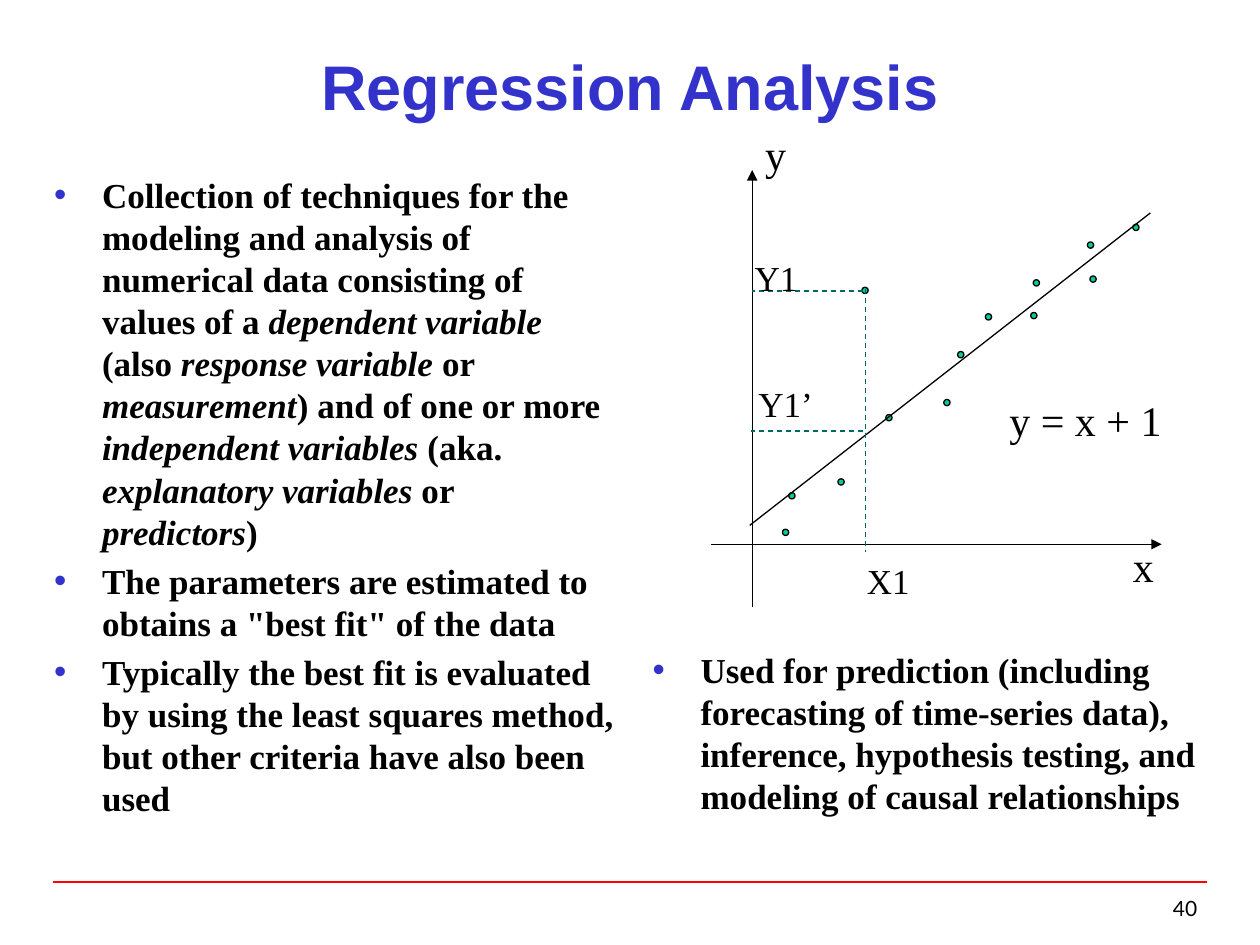
from dataclasses import dataclass

from lxml import etree
from pptx import Presentation
from pptx import util as u
from pptx.dml.color import RGBColor
from pptx.enum import dml, shapes, text
from pptx.oxml.ns import qn


@dataclass(frozen=True)
class Theme:
    accent: str = "3333CC"
    ink: str = "000000"
    rule: str = "FF0000"
    guide: str = "006666"
    point: str = "00CC99"
    heading_font: str = "Arial"
    body_font: str = "Times New Roman"
    number_font: str = "Lato"
    title_size: int = 36
    axis_size: int = 24
    body_size: int = 20
    number_size: int = 12


THEME = Theme()

TECHNIQUES = [
    [("Collection of techniques for the modeling and analysis of numerical "
      "data consisting of values of a ", False),
     ("dependent variable ", True), ("(also ", False),
     ("response variable ", True), ("or ", False),
     ("measurement", True), (") and of one or more ", False),
     ("independent variables ", True), ("(aka. ", False),
     ("explanatory variables", True), (" or ", False),
     ("predictors", True), (")", False)],
    [('The parameters are estimated to obtains a "best fit" of the data', False)],
    [("Typically the best fit is evaluated by using the least squares method, "
      "but other criteria have also been used", False)],
]
USES = [
    [("Used for prediction (including forecasting of time-series data), "
      "inference, hypothesis testing, and modeling of causal relationships", False)],
]

POINT_SIZE = 0.05
POINTS = [
    (7.49, 3.17), (7.03, 3.29), (6.84, 2.28), (6.65, 3.8), (7.6, 2.79),
    (7.82, 2.49), (6.26, 3.91), (8.18, 2.48), (8.2, 2.22), (8.65, 2.19),
    (6.21, 4.2), (8.63, 1.92), (8.99, 1.78),
]
AXES = [((5.64, 4.32), (9.22, 4.32)), ((5.97, 4.82), (5.97, 1.35))]
FIT_LINE = ((5.95, 4.17), (9.13, 1.69))
GUIDES = [
    ((6.87, 2.29), (6.87, 4.38)),
    ((6.85, 2.31), (5.97, 2.31)),
    ((6.85, 3.42), (5.96, 3.42)),
]
LABELS = [
    ("y", (5.97, 0.97, 0.37, 0.5), THEME.axis_size),
    ("x", (8.89, 4.24, 0.37, 0.5), THEME.axis_size),
    ("y = x + 1", (7.91, 3.08, 1.41, 0.5), THEME.axis_size),
    ("X1", (6.78, 4.39, 0.54, 0.43), THEME.body_size),
    ("Y1", (5.89, 1.99, 0.54, 0.43), THEME.body_size),
    ("Y1’", (5.92, 2.99, 0.63, 0.43), THEME.body_size),
]


def rgb(color):
    return RGBColor.from_string(color)


def place(shape, box):
    shape.left, shape.top, shape.width, shape.height = map(u.Inches, box)


def add_run(paragraph, words, font, size, color=THEME.ink, bold=False, italic=False):
    run = paragraph.add_run()
    run.text = words
    run.font.name = font
    run.font.size = u.Pt(size)
    run.font.color.rgb = rgb(color)
    run.font.bold = bold
    run.font.italic = italic


def set_bullet(paragraph):
    props = paragraph._p.get_or_add_pPr()
    props.set("marL", str(u.Inches(0.38)))
    props.set("indent", str(u.Inches(-0.38)))
    color = etree.SubElement(props, qn("a:buClr"))
    etree.SubElement(color, qn("a:srgbClr"), val=THEME.accent)
    etree.SubElement(props, qn("a:buFont"), typeface=THEME.heading_font)
    etree.SubElement(props, qn("a:buChar"), char="•")


def fill_title(title, words):
    place(title, (0.5, 0.35, 9, 0.66))
    frame = title.text_frame
    frame.auto_size = text.MSO_AUTO_SIZE.NONE
    frame.vertical_anchor = text.MSO_ANCHOR.MIDDLE
    heading = frame.paragraphs[0]
    heading.alignment = text.PP_ALIGN.CENTER
    add_run(heading, words, THEME.heading_font, THEME.title_size, THEME.accent, bold=True)


def fill_bullets(body, box, items):
    place(body, box)
    frame = body.text_frame
    frame.auto_size = text.MSO_AUTO_SIZE.NONE
    frame.vertical_anchor = text.MSO_ANCHOR.TOP
    for index, item in enumerate(items):
        bullet = frame.add_paragraph() if index else frame.paragraphs[0]
        bullet.space_before = u.Pt(0.2 * THEME.body_size)
        bullet.line_spacing = 1.0
        set_bullet(bullet)
        for words, italic in item:
            add_run(bullet, words, THEME.body_font, THEME.body_size,
                    bold=True, italic=italic)


def add_line(slide, ends, color=THEME.ink, width=0.75, dashed=False, arrow=False):
    (x1, y1), (x2, y2) = ends
    connector = slide.shapes.add_connector(
        shapes.MSO_CONNECTOR.STRAIGHT, *map(u.Inches, (x1, y1, x2, y2)))
    connector.line.color.rgb = rgb(color)
    connector.line.width = u.Pt(width)
    if dashed:
        connector.line.dash_style = dml.MSO_LINE.DASH
    if arrow:
        etree.SubElement(connector.line._get_or_add_ln(), qn("a:tailEnd"), type="triangle")
    etree.SubElement(connector._element.spPr, qn("a:effectLst"))


def add_point(slide, left, top):
    point = slide.shapes.add_shape(
        shapes.MSO_SHAPE.OVAL, *map(u.Inches, (left, top, POINT_SIZE, POINT_SIZE)))
    point.shadow.inherit = False
    point.fill.solid()
    point.fill.fore_color.rgb = rgb(THEME.point)
    point.line.color.rgb = rgb(THEME.ink)
    point.line.width = u.Pt(0.75)


def add_label(slide, words, box, size, font=THEME.body_font,
              align=text.PP_ALIGN.CENTER, wrap=False):
    frame = slide.shapes.add_textbox(*map(u.Inches, box)).text_frame
    frame.word_wrap = wrap
    label = frame.paragraphs[0]
    label.alignment = align
    add_run(label, words, font, size)


def draw_regression(slide):
    for axis in AXES:
        add_line(slide, axis, arrow=True)
    for left, top in POINTS:
        add_point(slide, left, top)
    add_line(slide, FIT_LINE)
    for guide in GUIDES:
        add_line(slide, guide, THEME.guide, dashed=True)
    for words, box, size in LABELS:
        add_label(slide, words, box, size)


def main():
    deck = Presentation()
    deck.slide_width, deck.slide_height = u.Inches(10), u.Inches(7.5)
    slide = deck.slides.add_slide(deck.slide_layouts.get_by_name("Two Content"))
    title, techniques, uses = slide.placeholders

    add_line(slide, ((0.42, 7), (9.58, 7)), THEME.rule, width=1)
    fill_title(title, "Regression Analysis")
    fill_bullets(techniques, (0.33, 1.33, 4.66, 5.42), TECHNIQUES)
    fill_bullets(uses, (5.08, 5.1, 4.6, 1.62), USES)
    add_label(slide, "40", (7.52, 7.06, 2.08, 0.33), THEME.number_size,
              THEME.number_font, text.PP_ALIGN.RIGHT, wrap=True)
    draw_regression(slide)
    deck.save("out.pptx")


if __name__ == "__main__":
    main()
